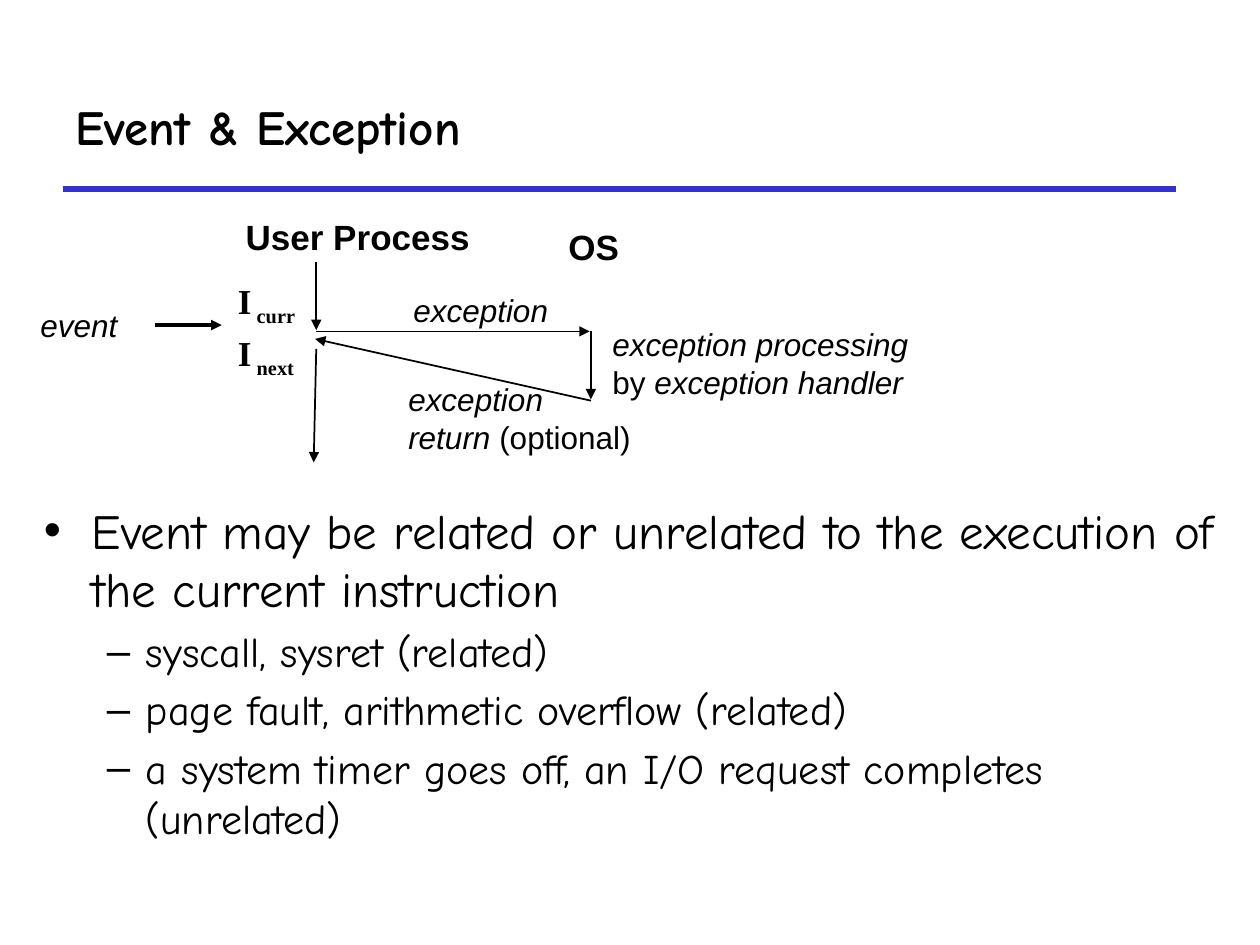
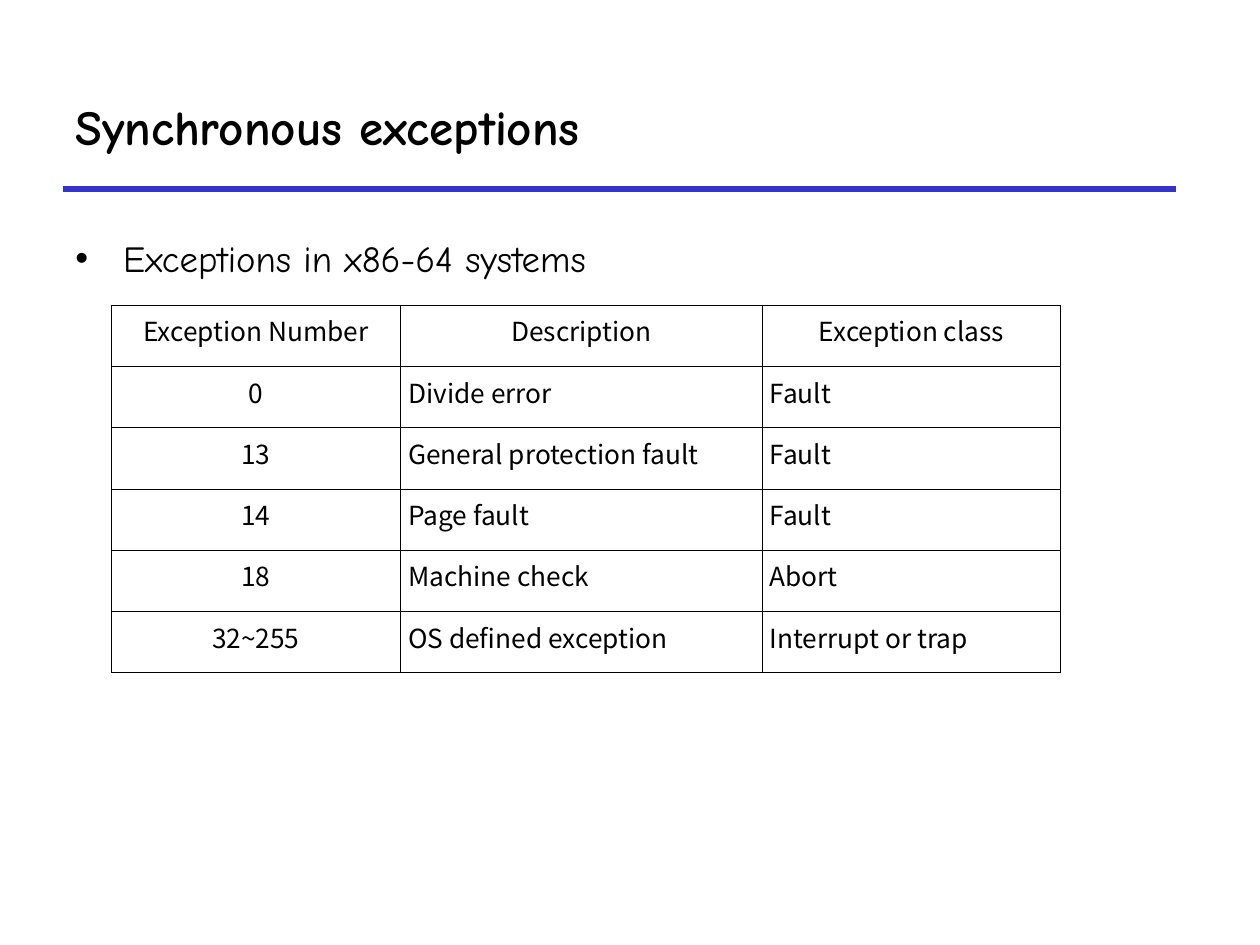
import pptx
import pptx.dml.color
import pptx.enum.shapes
import pptx.enum.text
import pptx.oxml.ns
import pptx.util
from lxml import etree

Inches, Pt = pptx.util.Inches, pptx.util.Pt
color = pptx.dml.color.RGBColor.from_string
qn = pptx.oxml.ns.qn
MIDDLE = pptx.enum.text.MSO_ANCHOR.MIDDLE
CENTER, LEFT = pptx.enum.text.PP_ALIGN.CENTER, pptx.enum.text.PP_ALIGN.LEFT

BLACK, RULE_BLUE = "000000", "3333CC"
HAND_FONT = "Comic Neue"
BULLET, DASH = ("•", 0.38, 0.38), ("–", 0.81, 0.31)  # character, left margin, hanging
WIDE_INSETS, TIGHT_INSETS = (0.1, 0.05), (0.07, 0.04)


def add_text(slide, box, lines, font, size, insets=WIDE_INSETS, wrap=True, grow=False):
    """Each line is (bullet, size or None, runs); each run is (text, style letters).

    Styles: b bold, i italic, s subscript.
    """
    shape = slide.shapes.add_textbox(*map(Inches, box))
    frame = shape.text_frame
    frame.word_wrap = wrap
    if grow:
        frame.auto_size = pptx.enum.text.MSO_AUTO_SIZE.SHAPE_TO_FIT_TEXT
    frame.margin_left = frame.margin_right = Inches(insets[0])
    frame.margin_top = frame.margin_bottom = Inches(insets[1])
    for number, (bullet, line_size, runs) in enumerate(lines):
        paragraph = frame.add_paragraph() if number else frame.paragraphs[0]
        if bullet:
            character, left, hanging = bullet
            properties = paragraph._p.get_or_add_pPr()
            properties.set("marL", str(Inches(left)))
            properties.set("indent", str(-Inches(hanging)))
            etree.SubElement(properties, qn("a:buFont")).set("typeface", "Arial")
            etree.SubElement(properties, qn("a:buChar")).set("char", character)
            if number:
                paragraph.space_before = Pt(4.5)
        for text, style in runs:
            run = paragraph.add_run()
            run.text = text
            run.font.name = font
            run.font.size = Pt(line_size or size)
            run.font.bold = "b" in style
            run.font.italic = "i" in style
            run.font.color.rgb = color(BLACK)
            if "s" in style:
                run.font._element.set("baseline", "-25000")
    return frame


def add_line(slide, start, end, line_color, width, arrow=True):
    line = slide.shapes.add_connector(
        pptx.enum.shapes.MSO_CONNECTOR.STRAIGHT, *map(Inches, start + end))
    line.line.color.rgb = color(line_color)
    line.line.width = Pt(width)
    if arrow:
        etree.SubElement(line.line._get_or_add_ln(), qn("a:tailEnd")).set("type", "triangle")
    etree.SubElement(line._element.spPr, qn("a:effectLst"))


deck = pptx.Presentation()
deck.slide_width, deck.slide_height = Inches(10), Inches(7.5)

slides = []
for title in ["Event & Exception", "Synchronous exceptions"]:
    slide = deck.slides.add_slide(deck.slide_layouts[6])
    add_line(slide, (0.5, 1.5), (9.33, 1.5), RULE_BLUE, 3, arrow=False)
    heading = add_text(slide, (0.5, 0.5, 8.83, 1), [(None, None, [(title, "b")])], HAND_FONT, 28)
    heading.vertical_anchor = MIDDLE
    slides.append(slide)
event_slide, exceptions_slide = slides

# Slide 1: control flow between the user process and the OS
add_text(event_slide, (0.25, 3.92, 9.58, 3.1), [
    (BULLET, 28, [("Event may be related or unrelated to the execution of the current instruction", "")]),
    (DASH, 24, [("syscall, sysret (related)", "")]),
    (DASH, 24, [("page fault, arithmetic overflow (related)", "")]),
    (DASH, 24, [("a system timer goes off, an I/O request completes (unrelated)", "")]),
], HAND_FONT, 28)

flow_labels = [
    ((1.88, 1.67, 1.93, 0.41), 20, False, [[("User Process", "b")]]),
    ((4.44, 1.75, 0.55, 0.41), 20, False, [[("OS", "b")]]),
    ((3.21, 2.27, 1.22, 0.37), 18, False, [[("exception", "i")]]),
    ((4.79, 2.54, 3.12, 0.67), 18, True,
     [[("exception processing", "i")], [("by ", ""), ("exception handler", "i")]]),
    ((3.17, 2.98, 1.91, 0.67), 18, False,
     [[("exception", "i")], [("return ", "i"), ("(optional)", "")]]),
    ((0.25, 2.39, 0.9, 0.37), 18, True, [[("event", "i")]]),
]
for box, size, wrap, lines in flow_labels:
    add_text(event_slide, box, [(None, None, runs) for runs in lines], "Arial", size,
             TIGHT_INSETS, wrap, grow=True)

for top, instruction in [(2.17, " curr"), (2.58, " next")]:
    add_text(event_slide, (1.79, top, 0.72, 0.48),
             [(None, None, [("I", "b"), (instruction, "bs")])],
             "Times New Roman", 20)

flow_arrows = [
    ((2.51, 2.08), (2.51, 2.62), 1),
    ((2.51, 2.63), (4.68, 2.63), 1),
    ((4.69, 2.63), (4.69, 3.17), 1),
    ((4.69, 3.18), (2.5, 2.69), 1),
    ((2.51, 2.77), (2.49, 3.67), 1),
    ((1.23, 2.58), (1.76, 2.58), 2),
]
for start, end, width in flow_arrows:
    add_line(event_slide, start, end, BLACK, width)

# Slide 2: exception table
intro = add_text(exceptions_slide, (0.5, 1.75, 8.33, 3.63),
                 [(BULLET, None, [("Exceptions in x86-64 systems", "")])], HAND_FONT, 21)
intro.paragraphs[0].line_spacing = 1.2

exception_rows = [
    ("Exception Number", "Description", "Exception class"),
    ("0", "Divide error", "Fault"),
    ("13", "General protection fault", "Fault"),
    ("14", "Page fault", "Fault"),
    ("18", "Machine check", "Abort"),
    ("32~255", "OS defined exception", "Interrupt or trap"),
]
exceptions = exceptions_slide.shapes.add_table(
    len(exception_rows), 3, Inches(0.88), Inches(2.42), Inches(7.54), Inches(2.92)).table
exceptions.first_row = exceptions.horz_banding = False
for column, width in zip(exceptions.columns, (2.3, 2.87, 2.37)):
    column.width = Inches(width)

for row, values in enumerate(exception_rows):
    for column, value in enumerate(values):
        cell = exceptions.cell(row, column)
        cell.margin_left = cell.margin_right = Inches(0.06)
        cell.margin_top = cell.margin_bottom = Inches(0.05)
        cell.fill.background()
        cell.text_frame.text = value
        paragraph = cell.text_frame.paragraphs[0]
        paragraph.alignment = CENTER if row == 0 or column == 0 else LEFT
        font = paragraph.runs[0].font
        font.name = "Noto Sans CJK SC"
        font.size = Pt(15)
        font.color.rgb = color(BLACK)
        properties = cell._tc.get_or_add_tcPr()
        for position, side in enumerate(("a:lnL", "a:lnR", "a:lnT", "a:lnB")):
            border = etree.Element(qn(side), w=str(Pt(0.45)))
            border_fill = etree.SubElement(border, qn("a:solidFill"))
            etree.SubElement(border_fill, qn("a:srgbClr")).set("val", BLACK)
            properties.insert(position, border)

deck.save("out.pptx")
